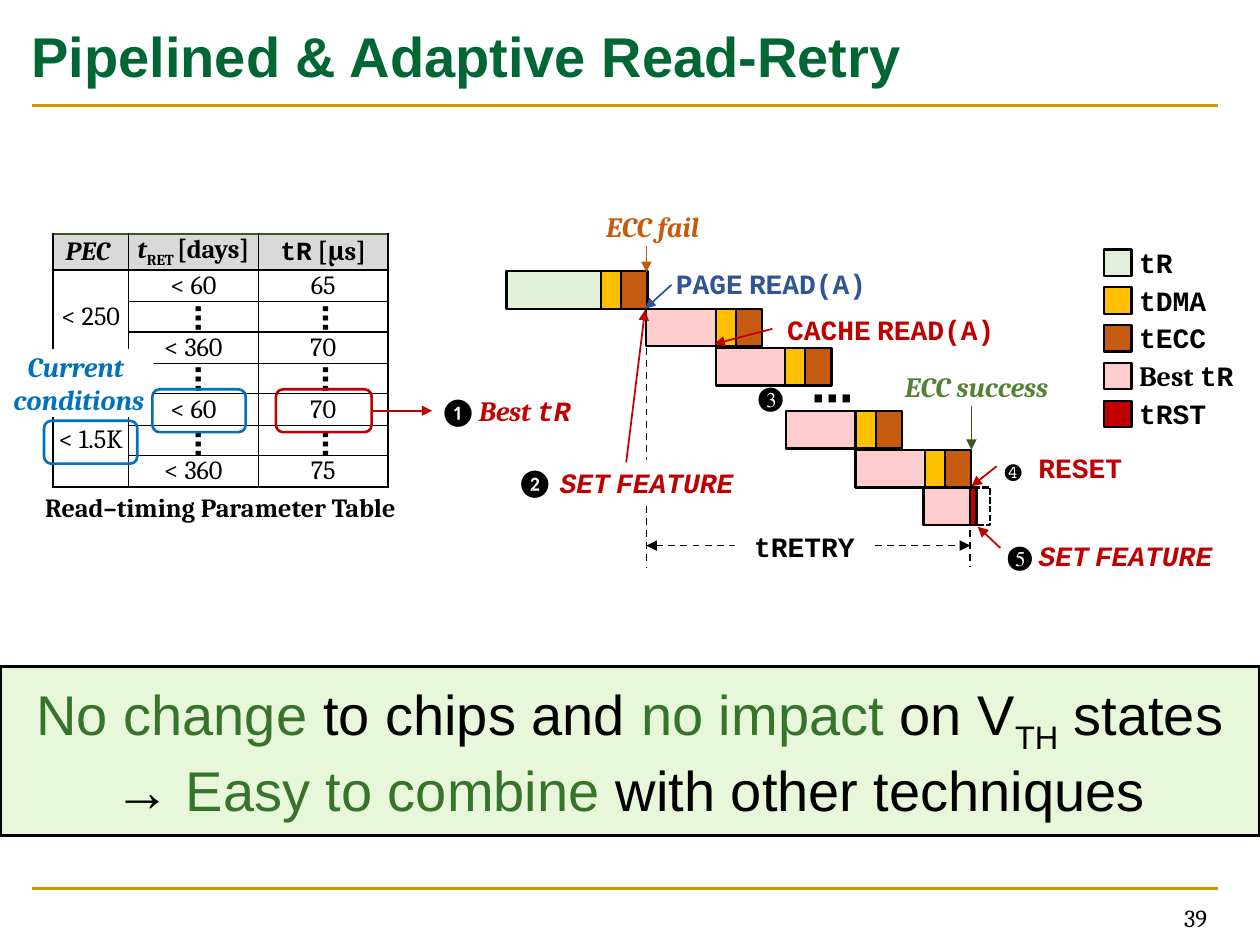
from lxml import etree
from pptx import Presentation
from pptx.dml.color import RGBColor
from pptx.enum.dml import MSO_LINE
from pptx.enum.shapes import MSO_CONNECTOR, MSO_SHAPE
from pptx.enum.text import MSO_ANCHOR, PP_ALIGN
from pptx.oxml.ns import qn
from pptx.util import Inches, Pt

BLACK, WHITE, RED, BLUE, GOLD = "000000", "FFFFFF", "C00000", "0070C0", "CC9900"
READ, DMA, ECC, BEST = "E2F0D9", "FFC000", "C55A11", "FFCDCD"
SERIF, MONO, SANS = "Cambria", "Courier New", "Calibri"
STEP_X, STEP_Y, BAR_HEIGHT = 0.55, 0.31, 0.3


def color(value):
    return RGBColor.from_string(value)


def fill_text(frame, paragraphs, align="center", anchor=MSO_ANCHOR.MIDDLE, inset=(0, 0, 0, 0), **style):
    frame.word_wrap = True
    frame.vertical_anchor = anchor
    frame.margin_left, frame.margin_top, frame.margin_right, frame.margin_bottom = map(Inches, inset)
    for index, runs in enumerate(paragraphs):
        paragraph = frame.add_paragraph() if index else frame.paragraphs[0]
        paragraph.alignment = getattr(PP_ALIGN, align.upper())
        for text, changes in runs:
            look = {"font": SERIF, "size": 16, "color": BLACK, "bold": False, "italic": False, **style, **changes}
            run = paragraph.add_run()
            run.text = text
            run.font.name, run.font.size = look["font"], Pt(look["size"])
            run.font.bold, run.font.italic = look["bold"], look["italic"]
            run.font.color.rgb = color(look["color"])
            if "baseline" in look:
                run.font._element.set("baseline", str(look["baseline"]))


def add_text(slide, box, text, rotation=0, **style):
    shape = slide.shapes.add_textbox(*map(Inches, box))
    shape.rotation = rotation
    fill_text(shape.text_frame, [[(text, {})]] if isinstance(text, str) else text, **style)
    return shape


def add_box(slide, box, fill=None, line=BLACK, width=1.25, kind=MSO_SHAPE.RECTANGLE):
    shape = slide.shapes.add_shape(kind, *map(Inches, box))
    shape.shadow.inherit = False
    if fill:
        shape.fill.solid()
        shape.fill.fore_color.rgb = color(fill)
    else:
        shape.fill.background()
    if line:
        shape.line.color.rgb = color(line)
        shape.line.width = Pt(width)
    else:
        shape.line.fill.background()
    return shape


def add_label(slide, box, paragraphs, **style):
    fill_text(add_box(slide, box, WHITE, None).text_frame, paragraphs, **style)


def add_line(slide, start, end, line=BLACK, width=1, dashed=False, heads=()):
    connector = slide.shapes.add_connector(MSO_CONNECTOR.STRAIGHT, *map(Inches, (*start, *end)))
    connector.line.color.rgb = color(line)
    connector.line.width = Pt(width)
    if dashed:
        connector.line.dash_style = MSO_LINE.DASH
    properties = connector._element.spPr
    for head in heads:
        etree.SubElement(properties.find(qn("a:ln")), qn(f"a:{head}"), type="triangle")
    etree.SubElement(properties, qn("a:effectLst"))


def add_arrow(slide, start, end, line):
    add_line(slide, start, end, line, heads=["tailEnd"])


def mono(text, **changes):
    first, *others = text.split(" ")
    runs = [(first, {"font": MONO, **changes})]
    for word in others:
        runs += [(" ", {"font": SERIF, **changes}), (word, {"font": MONO, **changes})]
    return runs


def add_frame(slide, left, top, width):
    add_line(slide, (left, top + 7.05), (left + width, top + 7.05), GOLD, 1.5)
    add_line(slide, (left, top + 0.84), (left + width, top + 0.84), GOLD, 1.5)
    add_text(slide, (left, top + 0.04, width, 0.79), "Pipelined & Adaptive Read-Retry", align="left",
             inset=(0, 0.05, 0, 0.05), font="Arial", size=32, color="006633", bold=True)
    add_text(slide, (left + 7.1, top + 7.11, 2.33, 0.34), "39", align="right",
             inset=(0.1, 0.05, 0.1, 0.05), size=14)


def style_cell(cell, borders):
    cell.fill.solid()
    cell.fill.fore_color.rgb = color(WHITE)
    properties = cell._tc.get_or_add_tcPr()
    for index, (side, (line, width)) in enumerate(borders.items()):
        border = etree.Element(qn(f"a:ln{side}"), w=str(Pt(width)))
        solid = etree.SubElement(border, qn("a:solidFill"))
        etree.SubElement(solid, qn("a:srgbClr"), val=line)
        properties.insert(index, border)


def add_parameter_table(slide, left, top):
    rows = [
        [[("PEC ", {"italic": True})],
         [("t", {"italic": True}), ("RET ", {"baseline": -25000}), ("[days]", {})],
         [("tR", {"font": MONO}), (" [μs]", {})]],
        ["< 250", "< 60", "65"], ["", "", ""], ["", "< 360", "70"], ["", "", ""],
        ["< 1.5K", "< 60", "70"], ["", "", ""], ["", "< 360", "75"],
    ]
    columns, header_height, row_height = (0.6, 1.03, 1.03), 0.28, 0.24
    frame = slide.shapes.add_table(len(rows), len(columns), *map(Inches, (
        left, top, sum(columns), header_height + row_height * (len(rows) - 1))))
    table = frame.table
    for column, width in zip(table.columns, columns):
        column.width = Inches(width)
    for y, row in enumerate(rows):
        table.rows[y].height = Inches(row_height if y else header_height)
        for x, content in enumerate(row):
            cell = table.cell(y, x)
            style_cell(cell, {
                "L": (BLACK, 1 if x else 1.5),
                "R": (BLACK, 1.5 if x == len(columns) - 1 else 1),
                "T": (BLACK, 1) if y else ("385723", 1.5),
                "B": (BLACK, 1.5 if y == len(rows) - 1 else 1),
            })
            if y == 0:
                cell.fill.fore_color.rgb = color("D9D9D9")
            runs = [(content, {})] if isinstance(content, str) else content
            fill_text(cell.text_frame, [runs if content else []], size=15, bold=y == 0)
            cell.margin_left = cell.margin_right = cell.margin_top = cell.margin_bottom = 0
            cell.vertical_anchor = MSO_ANCHOR.MIDDLE
            if not content:
                cell.text_frame.paragraphs[0]._p.get_or_add_endParaRPr().set("sz", "800")
    for first in (1, 5):
        table.cell(first, 0).merge(table.cell(first + 2, 0))
    for y in (0.52, 1.01, 1.52):
        for x in (1.02, 2.03):
            add_text(slide, (left + x, top + y, 0.29, 0.29), "⋯", rotation=90, font=SANS, bold=True)
    add_text(slide, (left - 0.58, top + 2.04, 3.82, 0.25), "Read–timing Parameter Table", size=15, bold=True)


def add_condition_marks(slide, left, top):
    rounded = MSO_SHAPE.ROUNDED_RECTANGLE
    add_box(slide, (left + 1.77, top + 1.23, 0.76, 0.34), None, RED, 1.5, rounded)
    add_arrow(slide, (left + 2.53, top + 1.4), (left + 3.01, top + 1.4), RED)
    add_text(slide, (left + 3.24, top + 1.26, 1.01, 0.27),
             [[("Best ", {}), ("tR", {"font": MONO})]], color=RED, bold=True, italic=True)
    add_text(slide, (left + 2.97, top + 1.22, 0.62, 0.49), "❶", align="left",
             anchor=MSO_ANCHOR.TOP, inset=(0.1, 0.05, 0.1, 0.05), font=SANS)
    add_box(slide, (left - 0.07, top + 1.48, 0.74, 0.34), None, BLUE, 1.5, rounded)
    add_label(slide, (left - 0.39, top + 0.91, 1.19, 0.54),
              [[("Current ", {})], [("conditions", {})]], color=BLUE, bold=True, italic=True)
    add_box(slide, (left + 0.79, top + 1.23, 0.74, 0.34), None, BLUE, 1.5, rounded)


def add_bars(slide, left, top, *parts):
    for width, fill in parts:
        add_box(slide, (left, top, width, BAR_HEIGHT), fill)
        left += width


def add_timeline(slide, left, top):
    start, end = left + 1.11, left + 3.68
    tail = (0.16, DMA), (0.21, ECC)
    add_line(slide, (start, top + 0.61), (start, top + 2.35), dashed=True)
    add_line(slide, (end, top + 1.67), (end, top + 2.35), dashed=True)
    add_line(slide, (start, top + 2.18), (end, top + 2.18), dashed=True, heads=["headEnd", "tailEnd"])
    add_label(slide, (left + 1.81, top + 2.01, 1.11, 0.35), [mono("tRETRY")], bold=True)

    add_box(slide, (left + 3.72, top + 1.72, 0.12, BAR_HEIGHT)).line.dash_style = MSO_LINE.SQUARE_DOT
    add_bars(slide, left + 3.31, top + 1.72, (0.37, BEST), (0.05, RED))
    add_bars(slide, left, top, (0.75, READ), *tail)
    for x, y in ((1.11, 0.3), (2.22, 1.11)):
        for step in range(2):
            add_bars(slide, left + x + step * STEP_X, top + y + step * STEP_Y, (0.55, BEST), *tail)
    add_text(slide, (left + 2.42, top + 0.85, 0.31, 0.29), "⋯", font=SANS, size=24, bold=True)

    add_label(slide, (left - 0.18, top + 1.5, 2.24, 0.36),
              [[("❷ ", {"font": SANS})] + mono("SET FEATURE", color=RED, bold=True, italic=True)])
    add_text(slide, (left + 1.9, top + 0.81, 0.62, 0.49), "❸", align="left",
             anchor=MSO_ANCHOR.TOP, inset=(0.1, 0.05, 0.1, 0.05))
    add_text(slide, (left + 3.88, top + 1.42, 1.08, 0.27),
             [[("❹ ", {"font": MONO})] + mono("RESET", color=RED, bold=True)])
    add_text(slide, (left + 3.61, top + 2.12, 2.36, 0.27),
             [[("❺ ", {})] + mono("SET FEATURE", color=RED, bold=True, italic=True)])

    for x, y, width, runs, style in (
        (0.31, -0.53, 1.62, [("ECC fail", {})], {"color": ECC, "italic": True}),
        (2.88, 0.74, 1.62, [("ECC success", {})], {"color": "548235", "italic": True}),
        (0.93, -0.08, 2.26, mono("PAGE READ(A)"), {"color": "2F5597"}),
        (2.11, 0.29, 1.8, mono("CACHE READ(A)"), {"color": RED}),
    ):
        add_text(slide, (left + x, top + y, width, 0.35), [runs], inset=(0.08, 0, 0, 0), bold=True, **style)
    for x, y, tip_x, tip_y, line in (
        (1.11, -0.2, 1.11, 0.01, ECC), (3.69, 1.07, 3.69, 1.42, "385723"),
        (1.31, 0.11, 1.1, 0.3, "2F5597"), (2.11, 0.46, 1.65, 0.58, RED),
        (0.95, 1.52, 1.1, 0.31, RED), (3.89, 1.55, 3.69, 1.71, RED), (3.92, 2.2, 3.74, 2.03, RED),
    ):
        add_arrow(slide, (left + x, top + y), (left + tip_x, top + tip_y), line)


def add_legend(slide, left, top):
    entries = ((READ, mono("tR")), (DMA, mono("tDMA")), (ECC, mono("tECC")),
               (BEST, [("Best ", {})] + mono("tR")), (RED, mono("tRST")))
    for index, (fill, runs) in enumerate(entries):
        y = top + index * 0.3
        add_box(slide, (left, y, 0.22, 0.21), fill)
        add_text(slide, (left + 0.28, y - 0.05, 0.95, 0.3), [runs], align="left",
                 inset=(0, 0.05, 0, 0.05), bold=True)


def add_banner(slide, left, top, width, height):
    green = {"color": "35742A"}
    banner = add_box(slide, (left, top, width, height), "E8F7D9", BLACK, 2)
    fill_text(banner.text_frame, [
        [("No change ", green), ("to chips and ", {}), ("no impact ", green), ("on V", {}),
         ("TH", {"baseline": -25000}), (" states", {})],
        [("→ ", {}), ("Easy to combine ", green), ("with other techniques", {})],
    ], font="Arial", size=32)


def main():
    presentation = Presentation()
    presentation.slide_width, presentation.slide_height = Inches(10), Inches(7.5)
    slide = presentation.slides.add_slide(presentation.slide_layouts[6])
    add_frame(slide, 0.25, 0, 9.42)
    add_parameter_table(slide, 0.42, 1.86)
    add_condition_marks(slide, 0.42, 1.86)
    add_timeline(slide, 4.02, 2.15)
    add_legend(slide, 8.76, 1.98)
    add_banner(slide, 0, 5.29, 10, 1.34)
    presentation.save("out.pptx")


if __name__ == "__main__":
    main()
